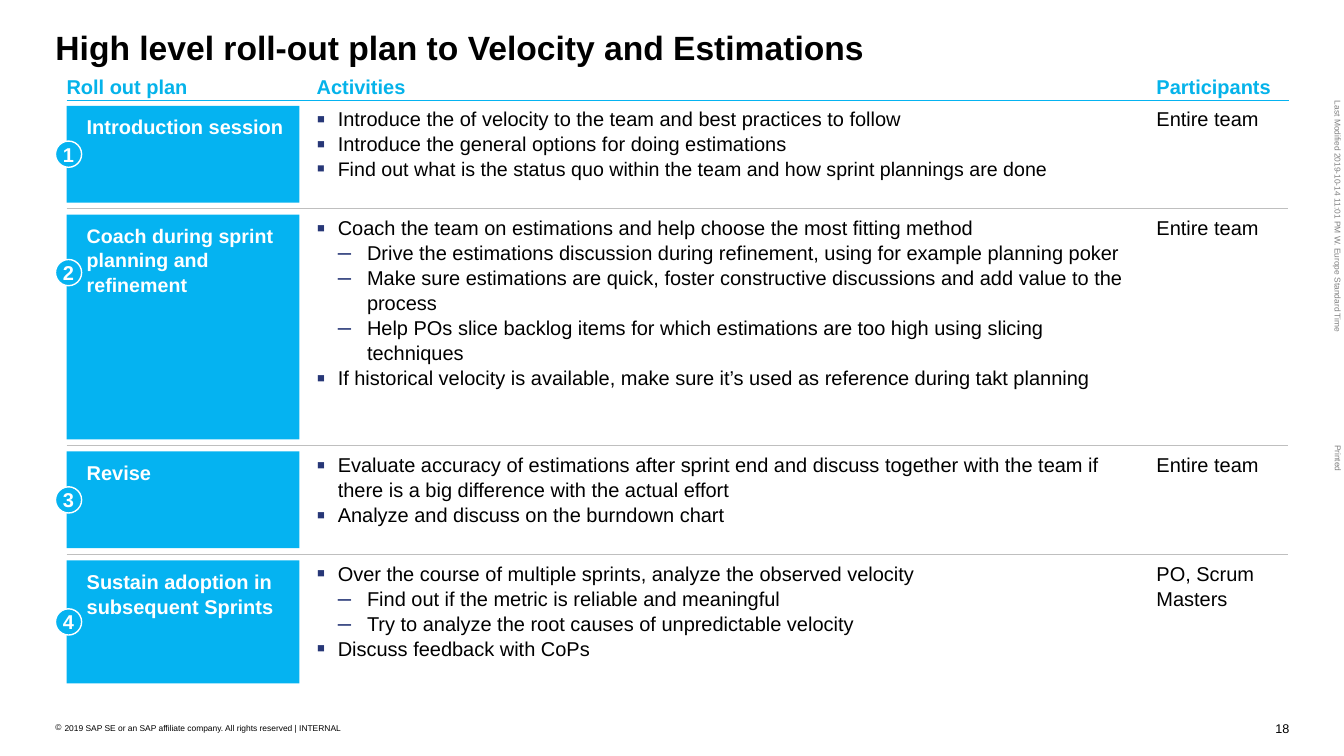
import collections

import lxml.etree
import pptx
import pptx.dml.color
import pptx.enum.shapes
import pptx.enum.text
import pptx.oxml.ns
import pptx.util

COLUMN = 0.11
ROW = 0.12
BLUE = "05B3F1"
HEADING_BLUE = "05B3EA"
BULLET_BLUE = "273777"
BODY = 14.3
ANCHOR = pptx.enum.text.MSO_ANCHOR
ALIGN = pptx.enum.text.PP_ALIGN
SHAPE = pptx.enum.shapes.MSO_SHAPE

Box = collections.namedtuple("Box", "left top width height")
Bullet = collections.namedtuple("Bullet", "symbol color size margin hanging")
BULLETS = {
    1: Bullet("▪", BULLET_BLUE, 125, 0.21, 0.21),
    2: Bullet("–", BULLET_BLUE, 120, 0.5, 0.29),
}
COPYRIGHT = Bullet("©", "000000", 100, 0.09, 0.09)

HEADINGS = ["Roll out plan", "Activities", "Participants"]
Phase = collections.namedtuple("Phase", "name size rows badge_rows activities participants")
PHASES = [
    Phase("Introduction session", BODY, 8, 8, [
        (1, "Introduce the of velocity to the team and best practices to follow", BODY),
        (1, "Introduce the general options for doing estimations", BODY),
        (1, "Find out what is the status quo within the team and how sprint plannings are done", 14),
    ], "Entire team"),
    Phase("Coach during sprint planning and refinement", 14, 18.58, 9.58, [
        (1, "Coach the team on estimations and help choose the most fitting method", BODY),
        (2, "Drive the estimations discussion during refinement, using for example planning poker", BODY),
        (2, "Make sure estimations are quick, foster constructive discussions and add value to the process", BODY),
        (2, "Help POs slice backlog items for which estimations are too high using slicing techniques", BODY),
        (1, "If historical velocity is available, make sure it’s used as reference during takt planning", BODY),
    ], "Entire team"),
    Phase("Revise", BODY, 8, 8, [
        (1, "Evaluate accuracy of estimations after sprint end and discuss together with the team if "
            "there is a big difference with the actual effort", BODY),
        (1, "Analyze and discuss on the burndown chart", BODY),
    ], "Entire team"),
    Phase("Sustain adoption in subsequent Sprints", BODY, 10.17, 10.17, [
        (1, "Over the course of multiple sprints, analyze the observed velocity", BODY),
        (2, "Find out if the metric is reliable and meaningful", BODY),
        (2, "Try to analyze the root causes of unpredictable velocity", BODY),
        (1, "Discuss feedback with CoPs", BODY),
    ], "PO, Scrum Masters"),
]


def rgb(value):
    return pptx.dml.color.RGBColor.from_string(value)


def frame(box):
    units = (COLUMN, ROW, COLUMN, ROW)
    return [pptx.util.Inches(length * unit) for length, unit in zip(box, units)]


def split_columns(box):
    return [
        Box(box.left, box.top, 21, box.height),
        Box(box.left + 22.55, box.top, 74.18, box.height),
        Box(box.left + 98.27, box.top, 12, box.height),
    ]


def set_bullet(paragraph, bullet):
    properties = paragraph._p.get_or_add_pPr()
    properties.set("marL", str(pptx.util.Inches(bullet.margin)))
    properties.set("indent", str(-pptx.util.Inches(bullet.hanging)))

    def add(parent, tag, **attributes):
        return lxml.etree.SubElement(parent, pptx.oxml.ns.qn(tag), **attributes)

    add(add(properties, "a:buClr"), "a:srgbClr", val=bullet.color)
    add(properties, "a:buSzPct", val=str(bullet.size * 1000))
    add(properties, "a:buFont", typeface="Arial")
    add(properties, "a:buChar", char=bullet.symbol)


def write(paragraph, text, size, color="000000", bold=False, align=ALIGN.LEFT, spacing=1.04):
    paragraph.alignment = align
    paragraph.line_spacing = spacing
    run = paragraph.add_run()
    run.text = text
    run.font.name = "Arial"
    run.font.size = pptx.util.Pt(size)
    run.font.bold = bold
    run.font.color.rgb = rgb(color)


def set_margins(text_frame, left=0, top=0, right=0, bottom=0, anchor=ANCHOR.TOP, wrap=True):
    text_frame.margin_left = pptx.util.Inches(left)
    text_frame.margin_top = pptx.util.Inches(top)
    text_frame.margin_right = pptx.util.Inches(right)
    text_frame.margin_bottom = pptx.util.Inches(bottom)
    text_frame.vertical_anchor = anchor
    text_frame.word_wrap = wrap


def add_text_box(slide, box, **layout):
    shape = slide.shapes.add_textbox(*frame(box))
    set_margins(shape.text_frame, **layout)
    return shape


def add_filled(slide, kind, box):
    shape = slide.shapes.add_shape(kind, *frame(box))
    shape.shadow.inherit = False
    shape.fill.solid()
    shape.fill.fore_color.rgb = rgb(BLUE)
    shape.line.fill.background()
    return shape


def add_rule(slide, left, top, width, color, weight):
    start_x, start_y, length, _ = frame(Box(left, top, width, 0))
    line = slide.shapes.add_connector(
        pptx.enum.shapes.MSO_CONNECTOR.STRAIGHT, start_x, start_y, start_x + length, start_y)
    line.line.color.rgb = rgb(color)
    line.line.width = pptx.util.Pt(weight)
    properties = line._element.spPr
    lxml.etree.SubElement(properties, pptx.oxml.ns.qn("a:effectLst"))


def draw_title(slide, box):
    shape = add_text_box(slide, box, anchor=ANCHOR.BOTTOM)
    write(shape.text_frame.paragraphs[0],
          "High level roll-out plan to Velocity and Estimations", 24, bold=True)


def draw_headings(slide, box):
    for heading, cell in zip(HEADINGS, split_columns(box)):
        shape = add_text_box(slide, cell, bottom=0.02, anchor=ANCHOR.BOTTOM)
        write(shape.text_frame.paragraphs[0], heading, BODY, HEADING_BLUE, True)
    add_rule(slide, box.left, box.top + box.height, box.width, BLUE, 0.75)


def draw_phase(slide, box, number, phase):
    name_cell, activity_cell, participant_cell = split_columns(box)
    name = add_filled(slide, SHAPE.RECTANGLE, name_cell)
    set_margins(name.text_frame, 0.2, 0.08, 0.08, 0.08)
    write(name.text_frame.paragraphs[0], phase.name, phase.size, "FFFFFF", True)

    activities = add_text_box(slide, activity_cell).text_frame
    for index, (level, text, size) in enumerate(phase.activities):
        paragraph = activities.add_paragraph() if index else activities.paragraphs[0]
        paragraph.level = level
        set_bullet(paragraph, BULLETS[level])
        write(paragraph, text, size)

    participants = add_text_box(slide, participant_cell)
    write(participants.text_frame.paragraphs[0], phase.participants, BODY)

    badge_top = box.top + (phase.badge_rows - 2.17) / 2
    badge = add_filled(slide, SHAPE.OVAL, Box(box.left - 1, badge_top, 2.36, 2.17))
    badge.line.color.rgb = rgb("FFFFFF")
    badge.line.width = pptx.util.Pt(1)
    set_margins(badge.text_frame, anchor=ANCHOR.MIDDLE, wrap=False)
    write(badge.text_frame.paragraphs[0], str(number), BODY, "FFFFFF", True, ALIGN.CENTER, 1)


def draw_plan(slide, box):
    draw_headings(slide, Box(box.left, box.top, box.width, 2.25))
    top = box.top + 2.67
    for number, phase in enumerate(PHASES, 1):
        if number > 1:
            add_rule(slide, box.left, top - 0.5, box.width - 0.18, "BFBFBF", 0.25)
        draw_phase(slide, Box(box.left, top, box.width, phase.rows), number, phase)
        top += phase.rows + 1


def draw_footer(slide, box):
    notice = add_text_box(slide, Box(box.left, box.top + 0.17, 29.36, 0.83))
    paragraph = notice.text_frame.paragraphs[0]
    set_bullet(paragraph, COPYRIGHT)
    write(paragraph, "2019 SAP SE or an SAP affiliate company. All rights reserved | INTERNAL", 6, spacing=1)
    page = add_text_box(slide, Box(box.left + box.width - 1.36, box.top, 1.36, 1.25), wrap=False)
    write(page.text_frame.paragraphs[0], "18", 9, align=ALIGN.RIGHT, spacing=1)


def draw_margin_note(slide, box, text):
    note = add_text_box(slide, box, wrap=False)
    note.rotation = 90
    write(note.text_frame.paragraphs[0], text, 6, "808080", spacing=1)


def main():
    presentation = pptx.Presentation()
    presentation.slide_width = pptx.util.Inches(13.33)
    presentation.slide_height = pptx.util.Inches(7.5)
    slide = presentation.slides.add_slide(presentation.slide_layouts[6])
    draw_title(slide, Box(5, 2.25, 111.27, 3.33))
    draw_plan(slide, Box(6, 6.08, 110.27, 50.5))
    draw_footer(slide, Box(5, 59.58, 111.27, 1.25))
    draw_margin_note(slide, Box(110, 17.67, 21.27, 0.83),
                     "Last Modified 2019-10-14 11:01 PM W. Europe Standard Time")
    draw_margin_note(slide, Box(119.45, 37.5, 2.45, 0.83), "Printed")
    presentation.save("out.pptx")


if __name__ == "__main__":
    main()
